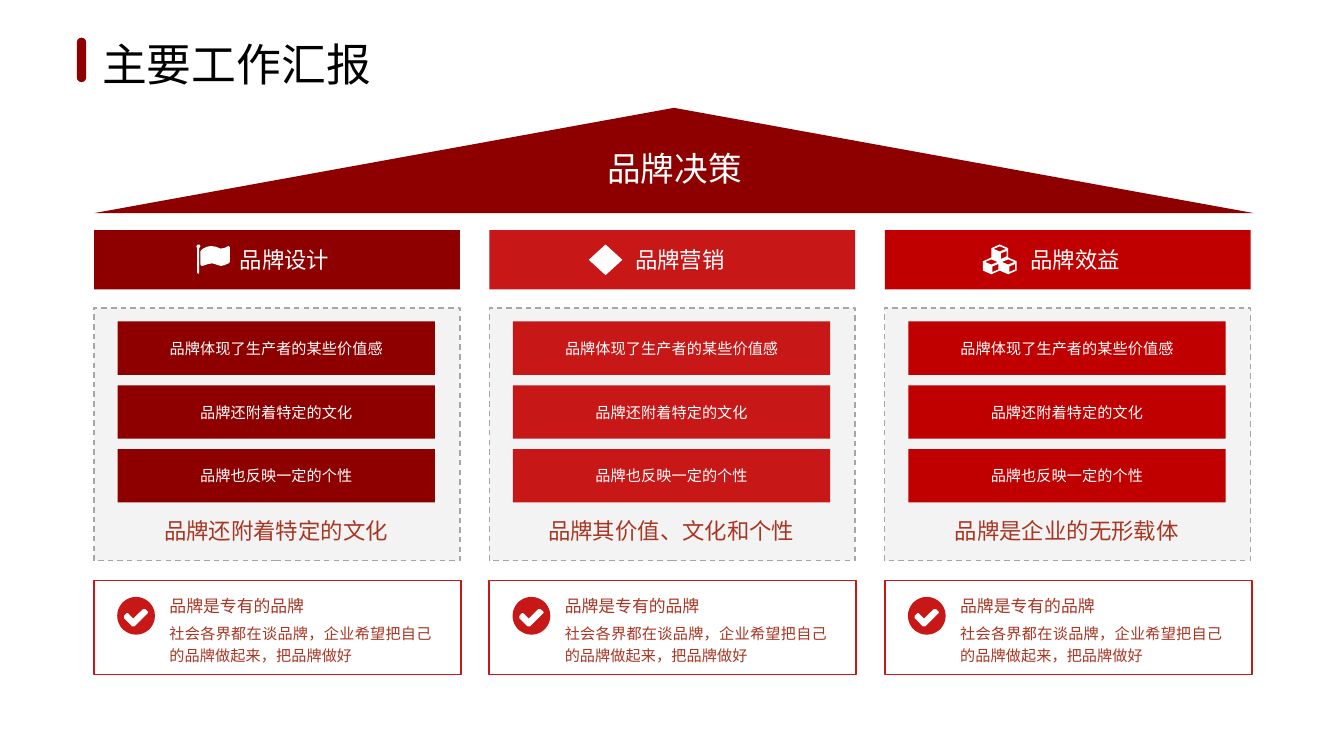
import math

from lxml import etree
from pptx import Presentation
from pptx.dml.color import RGBColor
from pptx.enum import dml, shapes, text
from pptx.oxml.ns import qn
from pptx.util import Pt

DARK_RED = RGBColor(0x8E, 0x00, 0x00)
BRIGHT_RED = RGBColor(0xC7, 0x17, 0x17)
PURE_RED = RGBColor(0xC0, 0x00, 0x00)
TEXT_RED = RGBColor(0xA8, 0x36, 0x23)
PANEL_GREY = RGBColor(0xD9, 0xD9, 0xD9)
DASH_GREY = RGBColor(0xA6, 0xA6, 0xA6)
WHITE = RGBColor(0xFF, 0xFF, 0xFF)
BLACK = RGBColor(0x00, 0x00, 0x00)

FONT = "Cabin"
HEADER_FONT = "Karla"
LEFT, PITCH, WIDTH = 50.4, 211.8, 196
BAR_TOP, BAR_PITCH = 172.2, 34.2

PILLARS = [
    ("品牌设计", "品牌还附着特定的文化", DARK_RED),
    ("品牌营销", "品牌其价值、文化和个性", BRIGHT_RED),
    ("品牌效益", "品牌是企业的无形载体", PURE_RED),
]
BARS = ["品牌体现了生产者的某些价值感", "品牌还附着特定的文化", "品牌也反映一定的个性"]
CARD_TITLE = "品牌是专有的品牌"
CARD_BODY = "社会各界都在谈品牌，企业希望把自己的品牌做起来，把品牌做好"

# Icon outlines, in tenths of a point
FLAG = [
    [(0, 10), (6, 0), (18, 0), (22, 10), (15, 20), (15, 152), (10, 158), (4, 152), (4, 20)],
    [(22, 36), (30, 26), (54, 13), (79, 8), (104, 12), (130, 22), (150, 19), (172, 8),
     (180, 14), (180, 94), (172, 101), (150, 111), (130, 115), (108, 108), (86, 101),
     (62, 105), (40, 113), (28, 115), (22, 108)],
]
CUBE = [
    [(45, 0), (90, 20), (90, 70), (45, 90), (0, 70), (0, 20)],
    [(45, 10), (78, 24), (45, 38), (12, 24)],
    [(51, 48), (82, 35), (82, 64), (51, 78)],
]
CUBES = [[(x + dx, y + dy) for x, y in outline]
         for dx, dy in [(45, 0), (0, 70), (90, 70)] for outline in CUBE]
CHECK = [
    [(round(101 + 101 * math.cos(math.radians(a))), round(101 + 101 * math.sin(math.radians(a))))
     for a in range(0, 360, 6)],
    [(151, 65), (137, 65), (86, 115), (58, 86), (50, 86), (36, 101), (36, 115),
     (79, 158), (94, 158), (166, 86), (166, 79)],
]


def write(frame, words, size, color, font=FONT, align=text.PP_ALIGN.CENTER,
          anchor=text.MSO_ANCHOR.MIDDLE, insets=(0, 0, 0, 0), wrap=True):
    frame.word_wrap = wrap
    frame.auto_size = text.MSO_AUTO_SIZE.NONE
    frame.vertical_anchor = anchor
    (frame.margin_left, frame.margin_top,
     frame.margin_right, frame.margin_bottom) = map(Pt, insets)
    paragraph = frame.paragraphs[0]
    paragraph.text = words
    paragraph.alignment = align
    paragraph.font.name = font
    paragraph.font.size = Pt(size)
    paragraph.font.color.rgb = color
    return paragraph


def add_label(slide, box, words, size, color, **style):
    label = slide.shapes.add_textbox(*map(Pt, box))
    return write(label.text_frame, words, size, color, **style)


def paint(shape, fill):
    shape.shadow.inherit = False
    shape.fill.solid()
    shape.fill.fore_color.rgb = fill
    shape.line.fill.background()


def add_block(slide, box, fill, kind=shapes.MSO_SHAPE.RECTANGLE):
    block = slide.shapes.add_shape(kind, *map(Pt, box))
    paint(block, fill)
    return block


def outline(shape, color, width):
    shape.line.color.rgb = color
    shape.line.width = Pt(width)


def set_opacity(shape, percent):
    color = shape.fill._xPr.find(qn("a:solidFill"))[0]
    etree.SubElement(color, qn("a:alpha")).set("val", str(percent * 1000))


def add_icon(slide, left, top, outlines, fill):
    """Draw closed outlines as one shape; inner outlines become holes."""
    builder = slide.shapes.build_freeform(*outlines[0][0], scale=Pt(0.1))
    builder.add_line_segments(outlines[0][1:], close=True)
    for points in outlines[1:]:
        builder.move_to(*points[0])
        builder.add_line_segments(points[1:], close=True)
    paint(builder.convert_to_shape(Pt(left), Pt(top)), fill)


def add_title(slide, words):
    title = slide.shapes.title
    title.left, title.top, title.width, title.height = map(Pt, (47.5, 15.8, 160, 36))
    write(title.text_frame, words, 24, BLACK, align=text.PP_ALIGN.LEFT,
          anchor=text.MSO_ANCHOR.TOP, insets=(7.2, 3.6, 7.2, 3.6), wrap=False)
    marker = add_block(slide, (41.2, 20.2, 5, 23.8), DARK_RED, shapes.MSO_SHAPE.ROUNDED_RECTANGLE)
    marker.adjustments[0] = 0.5


def add_roof(slide, words):
    add_block(slide, (LEFT, 57.8, 621.4, 56.4), DARK_RED, shapes.MSO_SHAPE.ISOSCELES_TRIANGLE)
    add_label(slide, (290, 75.6, 142.6, 29), words, 18, WHITE)


def add_header(slide, left, words, fill):
    header = add_block(slide, (left, 123.3, WIDTH, 31.8), fill)
    write(header.text_frame, words, 12, WHITE, font=HEADER_FONT, insets=(8, 0, 0, 0))


def add_panel(slide, left, caption, fill):
    panel = add_block(slide, (left, 165, WIDTH, 135.4), PANEL_GREY)
    set_opacity(panel, 30)
    outline(panel, DASH_GREY, 0.75)
    panel.line.dash_style = dml.MSO_LINE.DASH
    for row, words in enumerate(BARS):
        bar = add_block(slide, (left + 12.6, BAR_TOP + row * BAR_PITCH, 170, 28.6), fill)
        write(bar.text_frame, words, 8.1, WHITE)
    add_label(slide, (left + 18, 275.8, 159, 17.4), caption, 12, TEXT_RED)


def add_card(slide, left):
    card = add_block(slide, (left, 311, WIDTH + 0.6, 50.4), WHITE)
    outline(card, BRIGHT_RED, 1)
    style = {"anchor": text.MSO_ANCHOR.TOP, "insets": (5.8, 2.9, 5.8, 2.9)}
    add_label(slide, (left + 34.6, 316, 108, 16), CARD_TITLE, 9, TEXT_RED,
              align=text.PP_ALIGN.LEFT, **style)
    body = add_label(slide, (left + 34.6, 329.8, 152, 29.6), CARD_BODY, 8.1, TEXT_RED,
                     align=text.PP_ALIGN.JUSTIFY, **style)
    body.line_spacing = 1.2
    add_icon(slide, left + 12.4, 319.8, CHECK, BRIGHT_RED)


def main():
    deck = Presentation()
    deck.slide_width, deck.slide_height = Pt(720), Pt(405)
    slide = deck.slides.add_slide(deck.slide_layouts[5])
    add_title(slide, "主要工作汇报")
    add_roof(slide, "品牌决策")
    lefts = [LEFT + column * PITCH for column in range(len(PILLARS))]
    for left, (header, caption, fill) in zip(lefts, PILLARS):
        add_header(slide, left, header, fill)
        add_panel(slide, left, caption, fill)
        add_card(slide, left)
    add_icon(slide, lefts[0] + 54.8, 131, FLAG, WHITE)
    add_block(slide, (lefts[1] + 53.2, 131, 18, 16.4), WHITE, shapes.MSO_SHAPE.DIAMOND)
    add_icon(slide, lefts[2] + 52.6, 131, CUBES, WHITE)
    deck.save("out.pptx")


if __name__ == "__main__":
    main()
